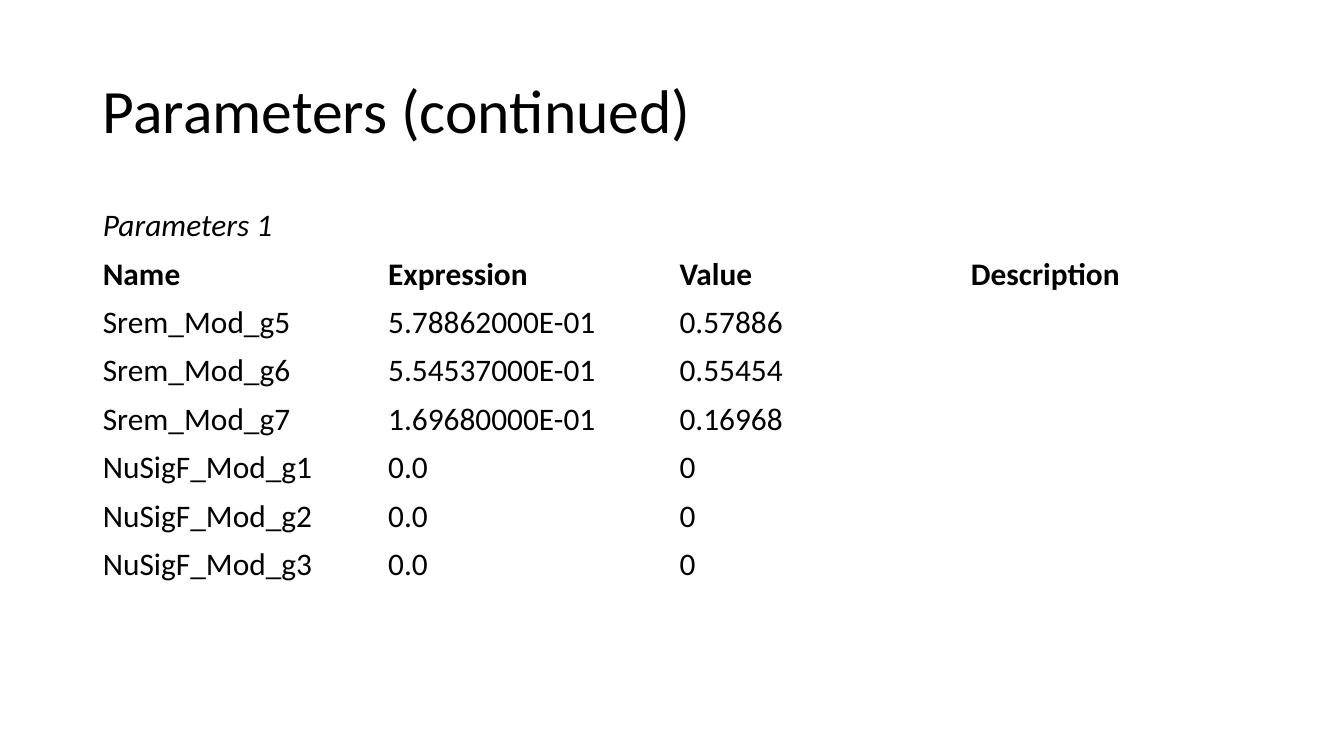
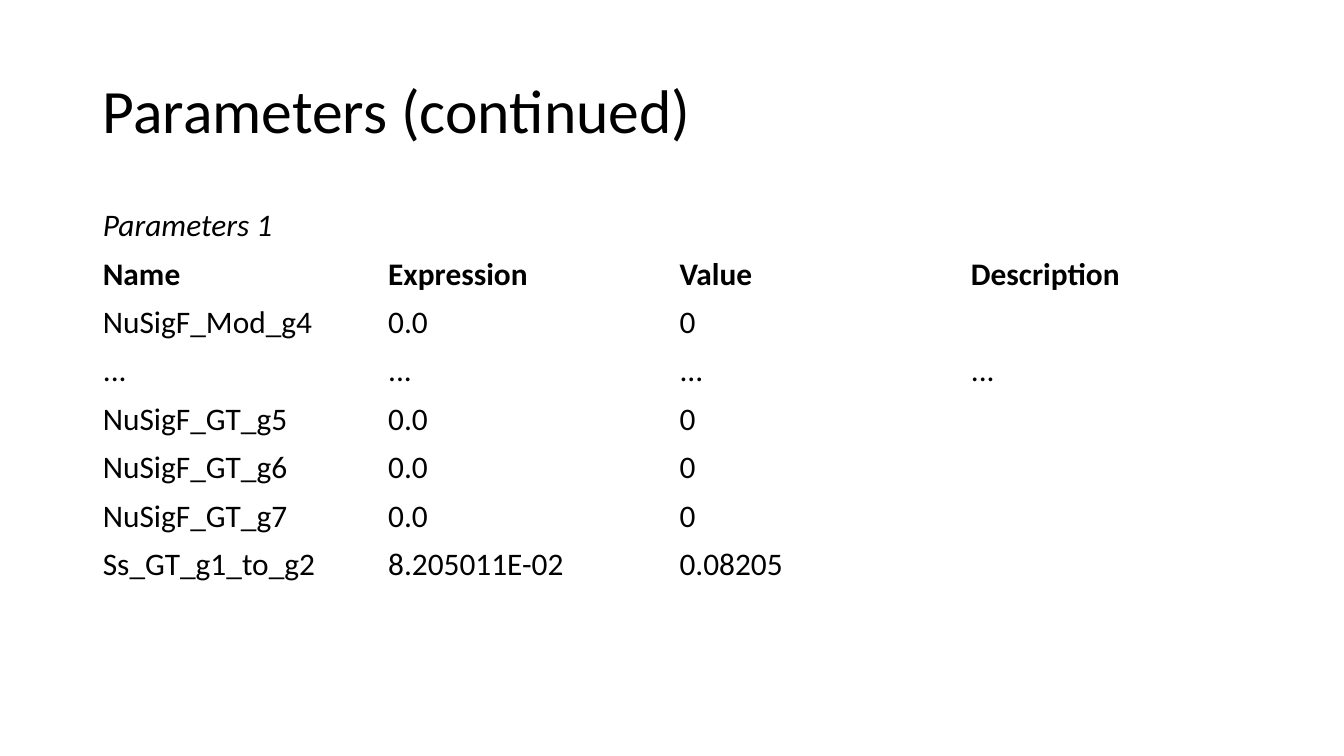
from pptx import Presentation
from pptx import util as u
from pptx.dml import color
from pptx.enum import text

FONT = "Calibri"
INK = "000000"
PAPER = "FFFFFF"
LEFT = 0.92
WIDTHS = (2.83, 2.89, 2.89, 2.89)
ROW = 0.48
TITLE = "Parameters (continued)"
GROUP = "Parameters 1"
HEADS = ("Name", "Expression", "Value", "Description")
PAGES = (
    (
        ("Srem_Mod_g5", "5.78862000E-01", "0.57886"),
        ("Srem_Mod_g6", "5.54537000E-01", "0.55454"),
        ("Srem_Mod_g7", "1.69680000E-01", "0.16968"),
        ("NuSigF_Mod_g1", "0.0", "0"),
        ("NuSigF_Mod_g2", "0.0", "0"),
        ("NuSigF_Mod_g3", "0.0", "0"),
    ),
    (
        ("NuSigF_Mod_g4", "0.0", "0"),
        ("...", "...", "...", "..."),
        ("NuSigF_GT_g5", "0.0", "0"),
        ("NuSigF_GT_g6", "0.0", "0"),
        ("NuSigF_GT_g7", "0.0", "0"),
        ("Ss_GT_g1_to_g2", "8.205011E-02", "0.08205"),
    ),
)


def rgb(code):
    """Turn a hex string into a colour."""
    return color.RGBColor.from_string(code)


def add_run(para, words, size, bold=False, italic=False):
    """Add one formatted run to a paragraph."""
    run = para.add_run()
    run.text = words
    font = run.font
    font.name, font.size = FONT, u.Pt(size)
    font.bold, font.italic = bold, italic
    font.color.rgb = rgb(INK)


def add_title(slide, words):
    """Place and fill the title placeholder."""
    title = slide.shapes.title
    title.left, title.top = u.Inches(LEFT), u.Inches(0.4)
    title.width, title.height = u.Inches(11.5), u.Inches(1.45)
    frame = title.text_frame
    frame.word_wrap = True
    frame.vertical_anchor = text.MSO_ANCHOR.MIDDLE
    para = frame.paragraphs[0]
    para.alignment = text.PP_ALIGN.LEFT
    para.line_spacing = 0.9
    add_run(para, words, 44)


def add_grid(slide, rows):
    """Add the plain parameter table under its group name and heads."""
    lines = ((GROUP,), HEADS) + rows
    table = slide.shapes.add_table(
        len(lines), len(WIDTHS), u.Inches(LEFT), u.Inches(2),
        u.Inches(sum(WIDTHS)), u.Inches(ROW * len(lines))).table
    table.first_row = table.horz_banding = False
    for col, width in zip(table.columns, WIDTHS):
        col.width = u.Inches(width)
    for cell in table.iter_cells():
        cell.fill.background()
    table.cell(0, 0).merge(table.cell(0, len(WIDTHS) - 1))
    for i, line in enumerate(lines):
        table.rows[i].height = u.Inches(ROW)
        for j, words in enumerate(line):
            para = table.cell(i, j).text_frame.paragraphs[0]
            add_run(para, words, 22.4, bold=i == 1, italic=i == 0)


def main():
    """Build and save the slides."""
    deck = Presentation()
    deck.slide_width, deck.slide_height = u.Inches(13.33), u.Inches(7.5)
    fill = deck.slide_master.background.fill
    fill.solid()
    fill.fore_color.rgb = rgb(PAPER)
    for rows in PAGES:
        slide = deck.slides.add_slide(deck.slide_layouts[5])
        add_title(slide, TITLE)
        add_grid(slide, rows)
    deck.save("out.pptx")


if __name__ == "__main__":
    main()
